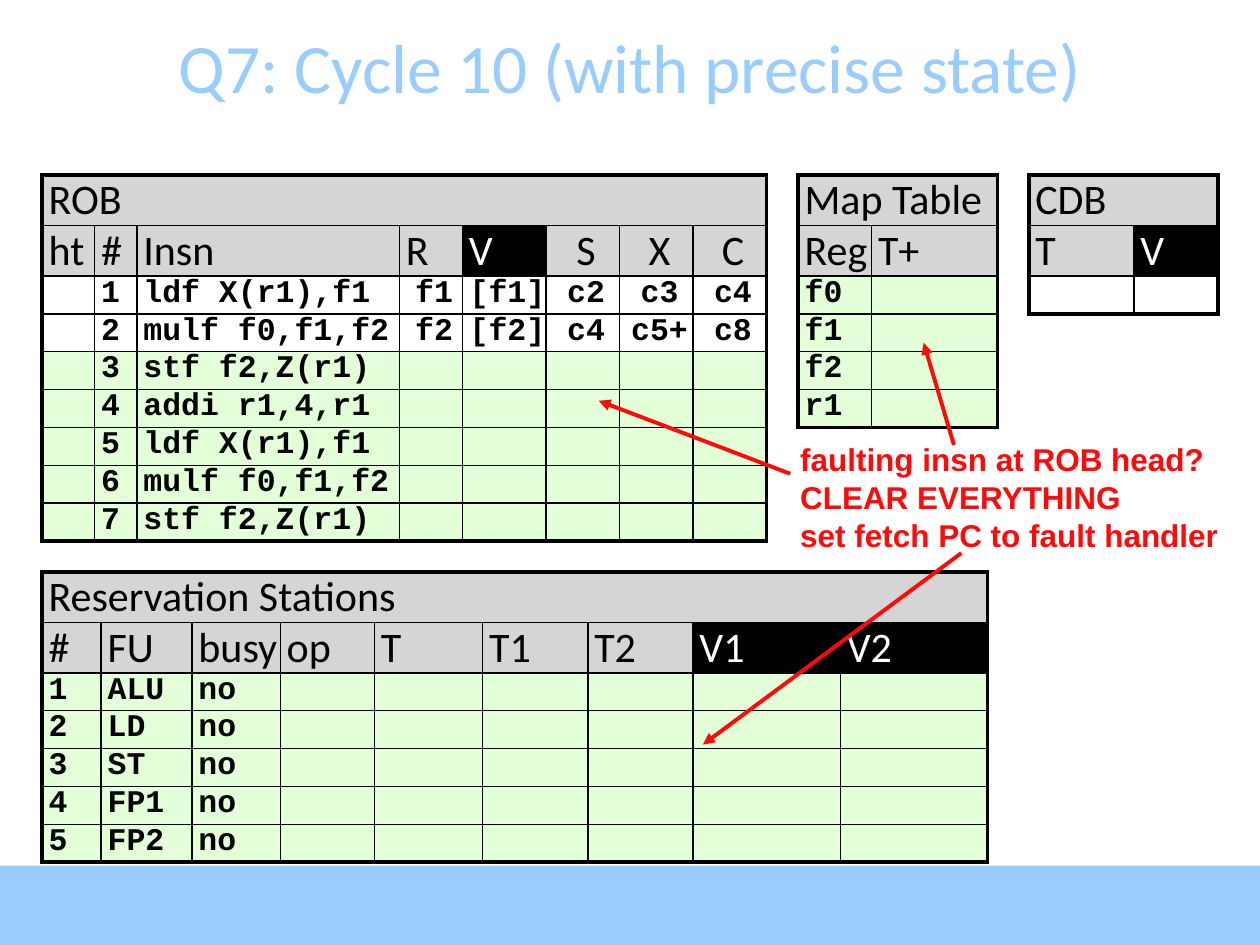
from lxml import etree
from pptx import Presentation
from pptx.dml.color import RGBColor
from pptx.enum.shapes import MSO_CONNECTOR, MSO_SHAPE
from pptx.enum.text import MSO_ANCHOR, PP_ALIGN
from pptx.oxml.ns import qn
from pptx.util import Cm, Pt

RECTANGLE = MSO_SHAPE.RECTANGLE
STRAIGHT = MSO_CONNECTOR.STRAIGHT
MIDDLE = MSO_ANCHOR.MIDDLE
LEFT, CENTER = PP_ALIGN.LEFT, PP_ALIGN.CENTER

COLORS = {
    "sky": "99CCFF",
    "heading": "D5D5D5",
    "cleared": "E2FFD8",
    "red": "FF0909",
    "black": "000000",
    "white": "FFFFFF",
}
HEADING_FONT = ("Calibri", 24, False)
CODE_FONT = ("Courier New", 18, True)
CENTERED_HEADINGS = {"S", "X", "C"}
ROW_HEIGHT = 0.69
OUTER_LINE, INNER_LINE = 2.25, 1


def rgb(name):
    return RGBColor.from_string(COLORS[name])


class PipelineSlide:
    def __init__(self, slide):
        self.slide = slide
        self.shapes = slide.shapes

    def add_run(self, paragraph, text, font, color):
        run = paragraph.add_run()
        run.text = text
        run.font.name, size, run.font.bold = font
        run.font.size = Pt(size)
        run.font.color.rgb = rgb(color)

    def text(self, box, lines, font, color, align=LEFT, wrap=True):
        frame = self.shapes.add_textbox(*map(Cm, box)).text_frame
        frame.word_wrap = wrap
        frame.vertical_anchor = MIDDLE
        for index, line in enumerate(lines):
            paragraph = frame.add_paragraph() if index else frame.paragraphs[0]
            paragraph.alignment = align
            self.add_run(paragraph, line, font, color)

    def bar(self, box, color):
        bar = self.shapes.add_shape(RECTANGLE, *map(Cm, box))
        bar.shadow.inherit = False
        bar.fill.solid()
        bar.fill.fore_color.rgb = rgb(color)
        bar.line.fill.background()

    def arrow(self, start, end):
        arrow = self.shapes.add_connector(STRAIGHT, *map(Cm, start + end))
        arrow.line.color.rgb = rgb("red")
        arrow.line.width = Pt(2.25)
        etree.SubElement(arrow.line._get_or_add_ln(), qn("a:tailEnd"), type="triangle")
        etree.SubElement(arrow._element.spPr, qn("a:effectLst"))

    def border(self, cell, **widths):
        """Draw black cell sides; widths maps L, R, T, B (in that order) to points."""
        properties = cell._tc.get_or_add_tcPr()
        for side, width in widths.items():
            line = etree.SubElement(properties, qn(f"a:ln{side}"), w=str(Pt(width)))
            fill = etree.SubElement(line, qn("a:solidFill"))
            etree.SubElement(fill, qn("a:srgbClr"), val=COLORS["black"])

    def cell(self, cell, text, font, color, fill, align):
        cell.margin_left = Cm(0.13)
        cell.margin_right = cell.margin_top = cell.margin_bottom = 0
        cell.fill.solid()
        cell.fill.fore_color.rgb = rgb(fill)
        paragraph = cell.text_frame.paragraphs[0]
        paragraph.alignment = align
        if text:
            self.add_run(paragraph, text, font, color)
        else:
            # An empty cell keeps its row low only if its end mark has the font size.
            name, size, _ = font
            end = etree.SubElement(paragraph._p, qn("a:endParaRPr"), sz=str(size * 100))
            etree.SubElement(end, qn("a:latin"), typeface=name)

    def state_table(self, left, top, widths, title, headings, rows,
                    live_rows=0, centered_from=99):
        """Rows up to live_rows are white, the rest cleared; short rows end in blanks."""
        columns = len(widths)
        grid = [[title], headings, *rows]
        table = self.shapes.add_table(
            len(grid), columns, Cm(left), Cm(top),
            Cm(sum(widths)), Cm(ROW_HEIGHT * len(grid))).table
        table.first_row = table.horz_banding = False
        for column, width in zip(table.columns, widths):
            column.width = Cm(width)
        for r, values in enumerate(grid):
            table.rows[r].height = Cm(ROW_HEIGHT)
            for c in range(columns):
                cell = table.cell(r, c)
                value = values[c] if c < len(values) else ""
                self.border(
                    cell,
                    L=OUTER_LINE if c == 0 else INNER_LINE,
                    R=OUTER_LINE if r == 0 or c == columns - 1 else INNER_LINE,
                    T=OUTER_LINE if r == 0 else INNER_LINE,
                    B=OUTER_LINE if r == len(grid) - 1 else INNER_LINE)
                if r < 2:
                    is_value = r == 1 and value.startswith("V")
                    color, fill = ("white", "black") if is_value else ("black", "heading")
                    align = CENTER if value in CENTERED_HEADINGS else LEFT
                    self.cell(cell, value, HEADING_FONT, color, fill, align)
                else:
                    fill = "white" if r < 2 + live_rows else "cleared"
                    align = CENTER if c >= centered_from else LEFT
                    self.cell(cell, value, CODE_FONT, "black", fill, align)
        table.cell(0, 0).merge(table.cell(0, columns - 1))


def main():
    deck = Presentation()
    deck.slide_width, deck.slide_height = Cm(25.4), Cm(19.05)
    page = PipelineSlide(deck.slides.add_slide(deck.slide_layouts[6]))

    page.bar((0, 17.45, 25.4, 1.6), "sky")
    page.text((0, 0.53, 25.4, 1.6), ["Q7: Cycle 10 (with precise state)"],
              ("Calibri", 39.6, False), "sky", CENTER)

    left, upper, lower = 0.85, 3.53, 11.53
    page.state_table(
        left, upper, [1.06, 0.85, 5.29, 1.27, 1.69, 1.48, 1.48, 1.48],
        "ROB", ["ht", "#", "Insn", "R", "V", "S", "X", "C"],
        [["", "1", "ldf X(r1),f1", "f1", "[f1]", "c2", "c3", "c4"],
         ["", "2", "mulf f0,f1,f2", "f2", "[f2]", "c4", "c5+", "c8"],
         ["", "3", "stf f2,Z(r1)"],
         ["", "4", "addi r1,4,r1"],
         ["", "5", "ldf X(r1),f1"],
         ["", "6", "mulf f0,f1,f2"],
         ["", "7", "stf f2,Z(r1)"]],
        live_rows=2, centered_from=3)
    page.state_table(16.09, upper, [1.48, 2.54], "Map Table", ["Reg", "T+"],
                     [[register] for register in ("f0", "f1", "f2", "r1")])
    units = ["ALU", "LD", "ST", "FP1", "FP2"]
    page.state_table(
        left, lower, [1.19, 1.83, 1.78, 1.9, 2.18, 2.12, 2.12, 2.97, 2.97],
        "Reservation Stations",
        ["#", "FU", "busy", "op", "T", "T1", "T2", "V1", "V2"],
        [[str(number), unit, "no"] for number, unit in enumerate(units, 1)])
    page.state_table(20.74, upper, [2.12, 1.69], "CDB", ["T", "V"], [[]], live_rows=1)

    page.text((15.88, 8.74, 9.02, 2.56),
              ["faulting insn at ROB head?", "CLEAR EVERYTHING",
               "set fetch PC to fault handler"],
              ("Arial", 18, True), "red", wrap=False)
    for start, end in [((15.93, 9.55), (12.07, 8.08)),
                       ((19.38, 11.15), (14.17, 15.01)),
                       ((19.23, 8.97), (18.62, 6.91))]:
        page.arrow(start, end)

    deck.save("out.pptx")


if __name__ == "__main__":
    main()
